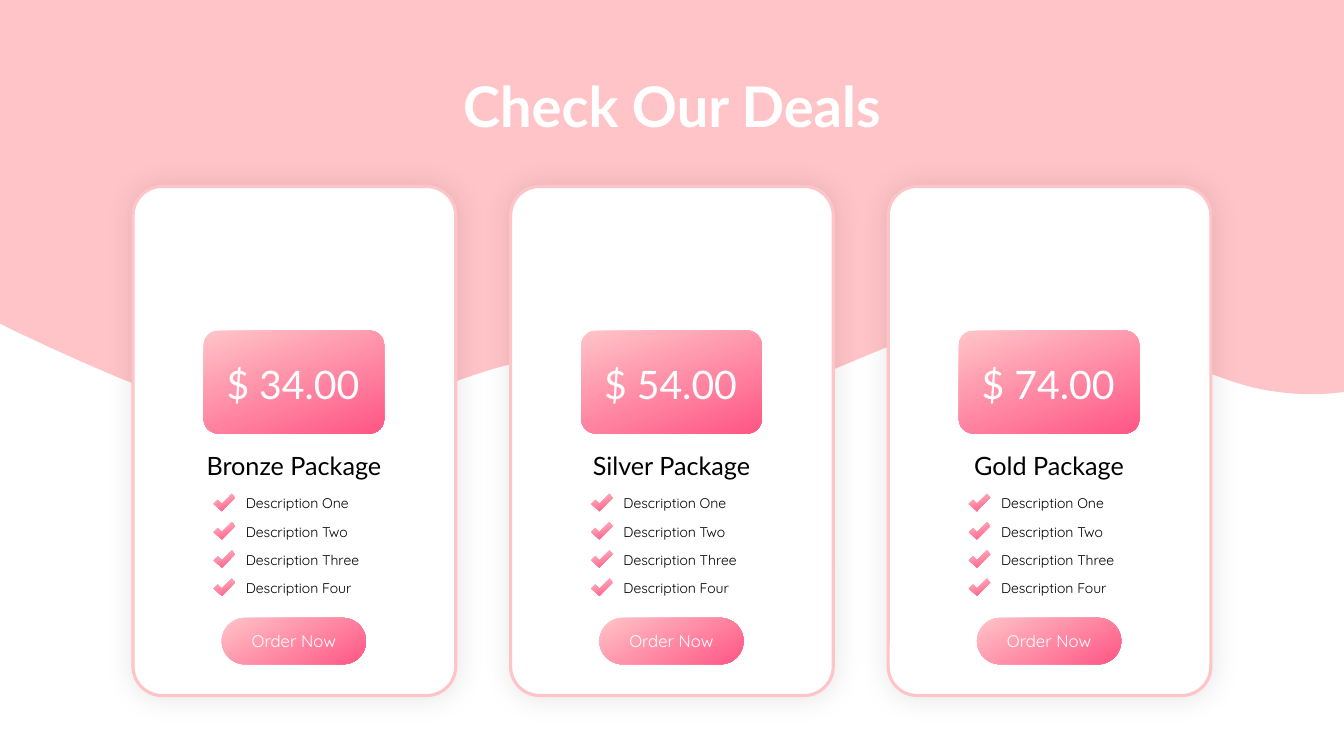
from dataclasses import dataclass

from lxml import etree
from pptx import Presentation
from pptx.dml.color import RGBColor as Rgb
from pptx.enum.shapes import MSO_SHAPE as Preset
from pptx.enum.text import MSO_ANCHOR as Anchor, MSO_AUTO_SIZE as AutoSize, PP_ALIGN as Align
from pptx.oxml.ns import qn
from pptx.util import Inches, Pt


@dataclass(frozen=True)
class Theme:
    blush: Rgb = Rgb.from_string("FFC4C8")
    rose: Rgb = Rgb.from_string("FF5685")
    white: Rgb = Rgb.from_string("FFFFFF")
    black: Rgb = Rgb.from_string("000000")
    heading: str = "Lato"
    body: str = "Quicksand"
    title_size: int = 40
    price_size: int = 28
    package_size: int = 18
    button_size: int = 12
    feature_size: int = 10


theme = Theme()
deck = Presentation()
deck.slide_width, deck.slide_height = Inches(13.33), Inches(7.5)
slide = deck.slides.add_slide(deck.slide_layouts[6])
shapes = slide.shapes


def add_text(text, box, face, size, color, align=Align.CENTER, bold=False):
    frame = shapes.add_textbox(*map(Inches, box)).text_frame
    frame.word_wrap = True
    frame.auto_size = AutoSize.SHAPE_TO_FIT_TEXT
    line = frame.paragraphs[0]
    line.text = text
    line.alignment = align
    font = line.runs[0].font
    for key, value in {"name": face, "size": Pt(size), "bold": bold}.items():
        setattr(font, key, value)
    font.color.rgb = color
    return frame


def paint_gradient(shape, clockwise):
    shape.shadow.inherit = False
    shape.line.fill.background()
    shape.fill.gradient()
    shape.fill.gradient_angle = 360 - clockwise
    for stop, color in zip(shape.fill.gradient_stops, (theme.blush, theme.rose)):
        stop.color.rgb = color


wave_curves = [
    ((13.23, 3.9), (13.05, 3.92), (12.81, 3.92), (12.5, 3.86)),
    ((12.5, 3.86), (11.88, 3.74), (10.86, 3.11), (9.96, 3.14)),
    ((9.96, 3.14), (9.05, 3.17), (7.83, 3.99), (7.07, 4.06)),
    ((7.07, 4.06), (6.3, 4.13), (6.12, 3.55), (5.39, 3.57)),
    ((5.39, 3.57), (4.66, 3.59), (3.66, 4.29), (2.7, 4.2)),
    ((2.7, 4.2), (1.97, 4.13), (0.88, 3.63), (0.16, 3.29)),
]
curve_steps = 24
wave_points = [(13.33, 0), (13.33, 3.89), (13.23, 3.9)]
for curve in wave_curves:
    for step in range(1, curve_steps + 1):
        t = step / curve_steps
        weights = ((1 - t) ** 3, 3 * t * (1 - t) ** 2, 3 * t**2 * (1 - t), t**3)
        wave_points.append(tuple(sum(w * p[axis] for w, p in zip(weights, curve)) for axis in (0, 1)))
wave_points.append((0, 3.21))
outline = shapes.build_freeform(0, 0, scale=1)
outline.add_line_segments([(Inches(x), Inches(y)) for x, y in wave_points], close=True)
wave = outline.convert_to_shape()
wave.shadow.inherit = False
wave.fill.solid()
wave.fill.fore_color.rgb = theme.blush
wave.line.fill.background()

first_left, last_left = 1.32, 8.81
card_pitch = (last_left - first_left) / 2
feature_pitch = 0.28
check_points = [(0.08, 0.17), (0, 0.1), (0.04, 0.06), (0.08, 0.1), (0.18, 0), (0.21, 0.04)]
packages = [("Bronze Package", "$ 34.00"), ("Silver Package", "$ 54.00"), ("Gold Package", "$ 74.00")]
features = ["Description One", "Description Two", "Description Three", "Description Four"]

for column, (package, price) in enumerate(packages):
    left = first_left + column * card_pitch

    card = shapes.add_shape(Preset.ROUNDED_RECTANGLE, *map(Inches, (left, 1.85, 3.2, 5.05)))
    card.adjustments[0] = 0.09
    card.fill.solid()
    card.fill.fore_color.rgb = theme.white
    card.line.color.rgb = theme.blush
    card.line.width = Pt(2.25)
    card.shadow.inherit = False
    effects = card.element.spPr.find(qn("a:effectLst"))
    glow = etree.SubElement(effects, qn("a:outerShdw"), blurRad=str(Pt(20)), dist="0", dir="0", algn="ctr", rotWithShape="0")
    tint = etree.SubElement(glow, qn("a:srgbClr"), val=str(theme.black))
    etree.SubElement(tint, qn("a:alpha"), val="10000")

    add_text(package, (left + 0.37, 4.42, 2.45, 0.4), theme.heading, theme.package_size, theme.black)

    panels = [
        ((0.88, 6.13, 1.43, 0.46), 0.5, 60),
        ((0.7, 3.28, 1.79, 1.02), 0.14, 70),
    ]
    for (offset, top, width, height), rounding, angle in panels:
        panel = shapes.add_shape(Preset.ROUNDED_RECTANGLE, *map(Inches, (left + offset, top, width, height)))
        panel.adjustments[0] = rounding
        paint_gradient(panel, angle)
    add_text("Order Now", (left + 0.93, 6.21, 1.33, 0.3), theme.body, theme.button_size, theme.white)
    add_text(price, (left + 0.69, 3.53, 1.79, 0.57), theme.heading, theme.price_size, theme.white)

    for row, feature in enumerate(features):
        top = 4.86 + row * feature_pitch
        corners = [(Inches(left + 0.8 + x), Inches(top + 0.04 + y)) for x, y in check_points]
        outline = shapes.build_freeform(*corners[0], scale=1)
        outline.add_line_segments(corners[1:], close=True)
        paint_gradient(outline.convert_to_shape(), 70)
        add_text(feature, (left + 1.02, top, 1.39, 0.27), theme.body, theme.feature_size, theme.black, Align.LEFT)

title = add_text("Check Our Deals", (2.75, 0.36, 7.83, 1.45), theme.heading, theme.title_size, theme.white, bold=True)
title.auto_size = AutoSize.NONE
title.vertical_anchor = Anchor.MIDDLE
title.paragraphs[0].line_spacing = 0.9

deck.save("out.pptx")
